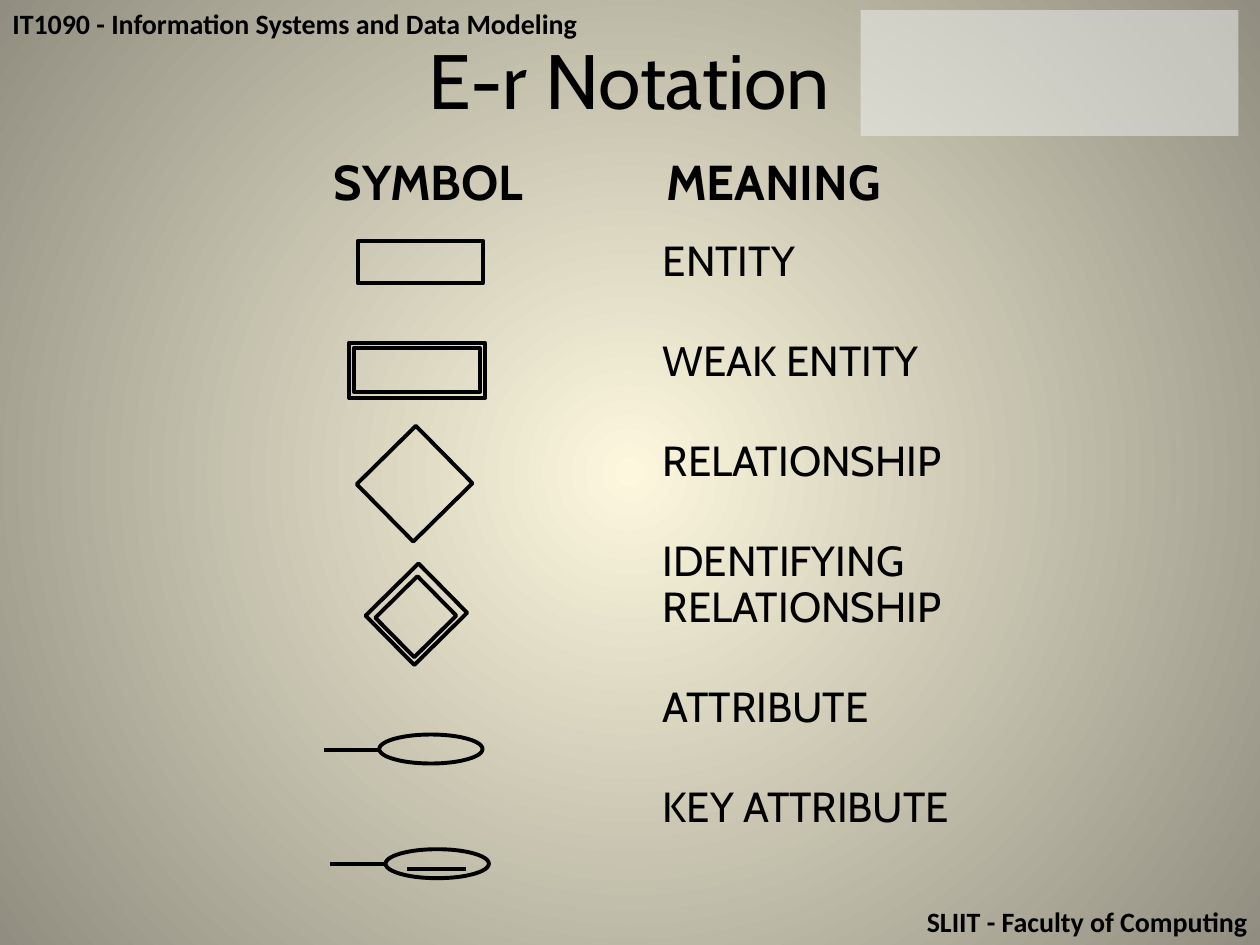
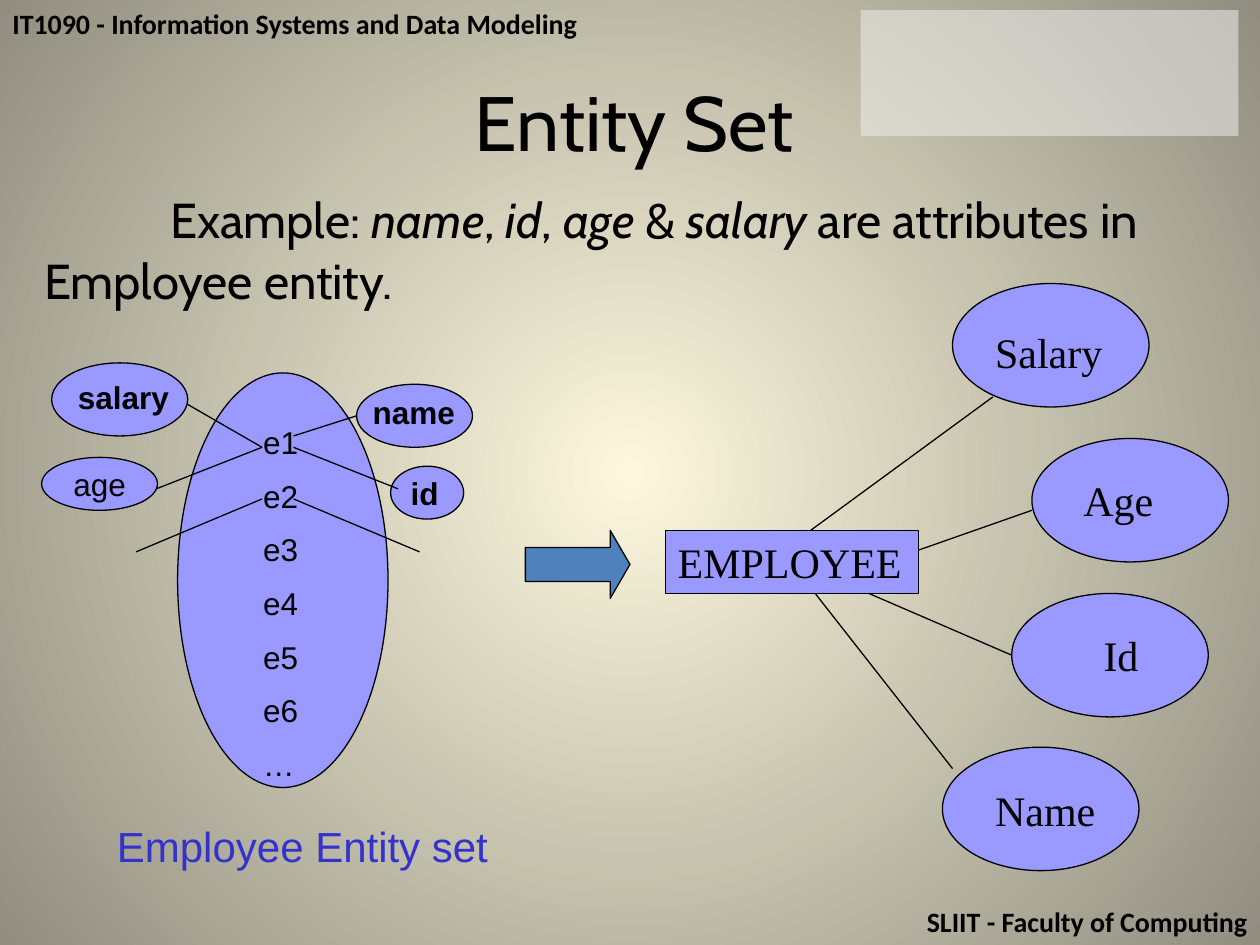
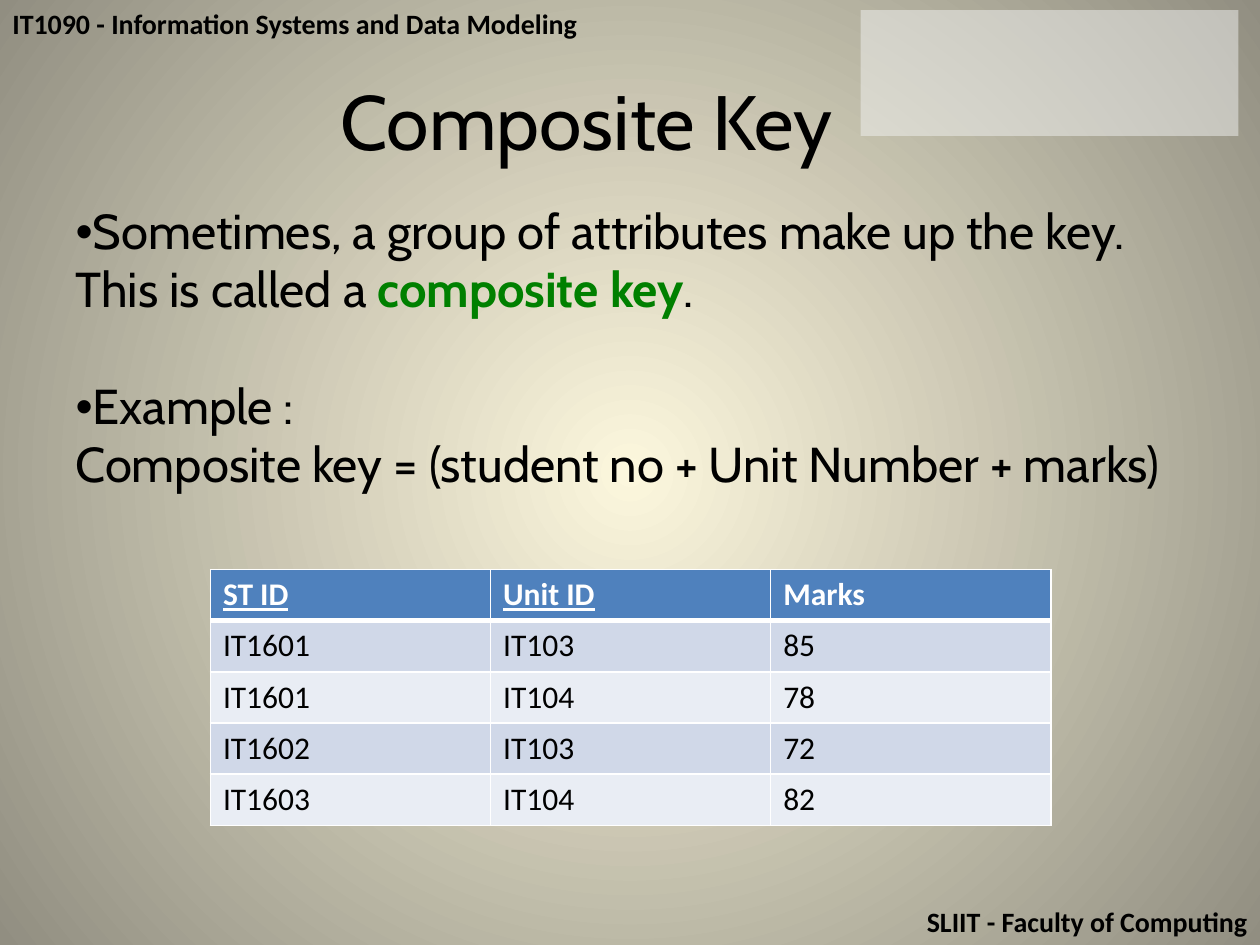
from dataclasses import dataclass

from lxml.etree import SubElement
from pptx import Presentation
from pptx.dml.color import RGBColor
from pptx.enum.shapes import MSO_CONNECTOR as Connector, MSO_SHAPE as Shape
from pptx.enum.text import MSO_ANCHOR as Anchor, MSO_AUTO_SIZE as AutoSize, PP_ALIGN as Align
from pptx.oxml import parse_xml
from pptx.oxml.ns import nsdecls, qn
from pptx.util import Inches, Pt

COLUMNS, ROWS = 10, 7.5
WIDTH, HEIGHT = Inches(10), Inches(7.5)


@dataclass(frozen=True)
class Theme:
    glow: str = "FCF7DD"
    edge: str = "918E81"
    ink: str = "000000"
    paper: str = "FFFFFF"
    band: str = "F2F2F2"
    lilac: str = "9999FF"
    blue: str = "4F81BD"
    caption: str = "3333CC"
    key_term: str = "008000"
    row_fills: tuple = ("D0D8E8", "E9EDF4")
    heading_font: str = "Cabin"
    base_font: str = "Calibri"
    diagram_font: str = "Times New Roman"
    set_font: str = "Arial"
    title: float = 44
    body: float = 28
    label: float = 24
    small: float = 18
    footer: float = 16
    thin: float = 0.75
    thick: float = 2.25


THEME = Theme()


@dataclass
class Para:
    runs: list
    bullet: bool = False
    before: float = 0


def across(columns):
    return round(WIDTH * columns / COLUMNS)


def down(rows):
    return round(HEIGHT * rows / ROWS)


def grid(left, top, width, height):
    return across(left), down(top), across(width), down(height)


def rgb(colour):
    return RGBColor.from_string(colour)


def write(frame, paragraphs, *, font=THEME.base_font, size=THEME.small, colour=THEME.ink,
          bold=False, align=Align.LEFT, anchor=Anchor.TOP, wrap=True, top_inset=0.05,
          before=0, after=0, spacing=1.0, indent=0):
    frame.auto_size = AutoSize.NONE
    frame.word_wrap = wrap
    frame.vertical_anchor = anchor
    frame.margin_left = frame.margin_right = across(0.1)
    frame.margin_top, frame.margin_bottom = down(top_inset), down(0.05)
    for index, content in enumerate(paragraphs):
        para = content if isinstance(content, Para) else Para([content])
        paragraph = frame.paragraphs[0] if index == 0 else frame.add_paragraph()
        properties = paragraph._p.get_or_add_pPr()
        properties.set("marL", "0")
        properties.set("indent", str(across(indent)))
        if para.bullet:
            SubElement(properties, qn("a:buChar")).set("char", "•")
        else:
            SubElement(properties, qn("a:buNone"))
        paragraph.alignment = align
        paragraph.line_spacing = spacing
        paragraph.space_before = Pt((para.before or before) if index else 0)
        paragraph.space_after = Pt(after)
        for piece in para.runs:
            words, changes = (piece, {}) if isinstance(piece, str) else piece
            run = paragraph.add_run()
            run.text = words
            run.font.name, run.font.size = font, Pt(size)
            run.font.bold = changes.get("bold", bold)
            run.font.italic = changes.get("italic", False)
            run.font.underline = changes.get("underline", False)
            run.font.color.rgb = rgb(changes.get("colour", colour))


def add_label(slide, place, *paragraphs, **style):
    label = slide.shapes.add_textbox(*grid(*place))
    write(label.text_frame, paragraphs, **style)
    return label


def add_block(slide, kind, place, fill=None, line=THEME.thin, turn=0):
    block = slide.shapes.add_shape(kind, *grid(*place))
    block.shadow.inherit = False
    block.rotation = turn
    if fill:
        block.fill.solid()
        block.fill.fore_color.rgb = rgb(fill)
    else:
        block.fill.background()
    if line:
        block.line.color.rgb = rgb(THEME.ink)
        block.line.width = Pt(line)
    else:
        block.line.fill.background()
    return block


def add_line(slide, x1, y1, x2, y2, weight=THEME.thin):
    line = slide.shapes.add_connector(
        Connector.STRAIGHT, across(x1), down(y1), across(x2), down(y2))
    line.line.color.rgb = rgb(THEME.ink)
    line.line.width = Pt(weight)
    SubElement(line._element.spPr, qn("a:effectLst"))


def fill_placeholder(placeholder, place, *paragraphs, **style):
    placeholder.left, placeholder.top, placeholder.width, placeholder.height = grid(*place)
    write(placeholder.text_frame, paragraphs, font=THEME.heading_font, **style)


def set_title(slide, place, words, top_inset=0.05):
    fill_placeholder(slide.shapes.title, place, words, size=THEME.title,
                     align=Align.CENTER, top_inset=top_inset)


def set_background(master):
    master.background.fill.solid()
    holder = master.element.find(".//" + qn("p:bgPr"))
    holder.replace(holder[0], parse_xml(
        f'<a:gradFill {nsdecls("a")} rotWithShape="1"><a:gsLst>'
        f'<a:gs pos="0"><a:srgbClr val="{THEME.glow}"/></a:gs>'
        f'<a:gs pos="100000"><a:srgbClr val="{THEME.edge}"/></a:gs></a:gsLst>'
        '<a:path path="circle"><a:fillToRect l="50000" t="50000" r="50000" b="50000"/>'
        '</a:path></a:gradFill>'))


def set_shared_bands(slide):
    style = dict(size=THEME.footer, bold=True)
    header = add_label(slide, (0, 0, 10, 0.37),
                       "IT1090 - Information Systems and Data Modeling", **style)
    footer = add_label(slide, (0, 7.13, 10, 0.37), "SLIIT - Faculty of Computing",
                       align=Align.RIGHT, **style)
    band = add_block(slide, Shape.RECTANGLE, (6.83, 0.08, 3, 1), THEME.band, None)
    tint = band._element.spPr.find(".//" + qn("a:srgbClr"))
    SubElement(tint, qn("a:alpha")).set("val", "50000")
    for part in (header, footer, band):
        slide.slide_layout.shapes.element.append(part.element)


def build_notation(slide):
    set_title(slide, (1.51, -0.16, 6.97, 1.11), "E-r Notation", top_inset=0.42)
    fill_placeholder(slide.placeholders[1], (5.16, 1.86, 3.45, 5.27),
                     "ENTITY", "WEAK ENTITY", "RELATIONSHIP", "IDENTIFYING RELATIONSHIP",
                     "ATTRIBUTE", "KEY ATTRIBUTE",
                     size=THEME.label, spacing=0.9, after=31.2)
    for left, top, heading in ((2.55, 1.2, "SYMBOL"), (5.19, 1.2, "MEANING")):
        add_label(slide, (left, top, 2.06, 0.47), heading, font=THEME.heading_font,
                  size=THEME.body, bold=True, top_inset=0)
    entity_symbols = ((2.84, 1.91, 0.99, 0.34), (2.81, 2.76, 1, 0.35), (2.77, 2.72, 1.08, 0.44))
    relationship_symbols = ((2.97, 3.51, 0.64, 0.66), (3.08, 4.66, 0.44, 0.47),
                            (3.03, 4.58, 0.55, 0.59))
    for turn, symbols in ((0, entity_symbols), (45.4, relationship_symbols)):
        for place in symbols:
            add_block(slide, Shape.RECTANGLE, place, line=THEME.thick, turn=turn)
    for left, top in ((3.01, 5.83), (3.06, 6.74)):
        add_block(slide, Shape.OVAL, (left, top, 0.82, 0.23), line=THEME.thick)
        add_line(slide, left, top + 0.12, left - 0.44, top + 0.12, THEME.thick)
    add_line(slide, 3.23, 6.9, 3.7, 6.9, THEME.thick)


def add_employee_diagram(slide):
    style = dict(font=THEME.diagram_font, size=THEME.label)
    attributes = (
        ("Name", 7.48, 5.93, (7.8, 6.18, 1, 0.5)),
        ("Id", 8.03, 4.71, (8.66, 4.95, 0.51, 0.5)),
        ("Age", 8.19, 3.48, (8.5, 3.72, 0.76, 0.5)),
        ("Salary", 7.56, 2.25, (7.8, 2.54, 1.06, 0.5)),
    )
    for name, left, top, name_place in attributes:
        add_block(slide, Shape.OVAL, (left, top, 1.56, 0.98), THEME.lilac)
        plate = add_block(slide, Shape.RECTANGLE, name_place, THEME.lilac, None)
        write(plate.text_frame, [name], wrap=False, **style)
    for ends in ((7.25, 4.38, 8.19, 4.05), (7.56, 6.1, 6.47, 4.71),
                 (8.03, 5.2, 6.78, 4.66), (7.88, 3.15, 6.31, 4.3)):
        add_line(slide, *ends)
    employee = add_block(slide, Shape.RECTANGLE, (5.28, 4.21, 2.01, 0.5), THEME.lilac)
    write(employee.text_frame, ["EMPLOYEE"], **style)


def add_employee_set(slide):
    style = dict(font=THEME.set_font, size=THEME.small)
    for place in ((3.1, 3.7, 0.58, 0.42), (2.83, 3.05, 0.92, 0.5), (0.41, 2.88, 1.08, 0.58)):
        add_block(slide, Shape.OVAL, place, THEME.lilac)
    age = add_block(slide, Shape.OVAL, (0.33, 3.63, 0.92, 0.42), THEME.lilac)
    write(age.text_frame, ["age"], anchor=Anchor.MIDDLE, align=Align.CENTER, wrap=False, **style)
    add_block(slide, Shape.OVAL, (1.41, 2.96, 1.67, 3.29), THEME.lilac)
    members = [f"e{number}" for number in range(1, 7)]
    add_label(slide, (1.99, 3.31, 0.58, 2.61), *members, "…", before=9, **style)
    add_label(slide, (0.83, 6.46, 3.33, 0.42), "Employee Entity set",
              font=THEME.set_font, size=THEME.label, colour=THEME.caption)
    for name, place in (("salary", (0.52, 2.95, 1.06, 0.4)), ("id", (3.16, 3.71, 0.75, 0.4)),
                        ("name", (2.86, 3.07, 1.17, 0.4))):
        add_label(slide, place, name, bold=True, **style)
    for ends in ((1.49, 3.21, 2.08, 3.55), (1.24, 3.88, 2.08, 3.55), (2.33, 3.46, 2.83, 3.3),
                 (2.33, 3.55, 3.16, 3.88), (2.08, 3.96, 1.08, 4.38), (2.33, 3.96, 3.33, 4.38)):
        add_line(slide, *ends)


def build_entity_set(slide):
    set_title(slide, (1.55, 0.54, 6.97, 1.1), "Entity Set")
    italic = {"italic": True}
    example = Para(["Example: ", ("name", italic), ", ", ("id", italic), ", ", ("age", italic),
                    " & ", ("salary", italic), " are attributes in Employee entity."])
    fill_placeholder(slide.placeholders[1], (0.25, 1.4, 9.58, 5.13), example,
                     size=THEME.body, indent=1, top_inset=0.09, spacing=1.03)
    add_employee_diagram(slide)
    arrow = add_block(slide, Shape.RIGHT_ARROW, (4.17, 4.21, 0.83, 0.54), THEME.blue)
    arrow.adjustments[1] = 0.29
    add_employee_set(slide)


def add_border(cell, side, width):
    edge = SubElement(cell._tc.get_or_add_tcPr(), qn(f"a:{side}"), w=str(Pt(width)))
    SubElement(SubElement(edge, qn("a:solidFill")), qn("a:srgbClr"), val=THEME.paper)


def add_marks_table(slide, place, rows):
    table = slide.shapes.add_table(len(rows), len(rows[0]), *grid(*place)).table
    for row, values in enumerate(rows):
        for column, value in enumerate(values):
            cell = table.cell(row, column)
            for side in ("lnL", "lnR", "lnT", "lnB"):
                header_rule = (row, side) in ((0, "lnB"), (1, "lnT"))
                add_border(cell, side, 3 if header_rule else 1)
            cell.fill.solid()
            fill = THEME.row_fills[(row - 1) % 2] if row else THEME.blue
            cell.fill.fore_color.rgb = rgb(fill)
            is_key = row == 0 and column < 2
            write(cell.text_frame, [Para([(value, {"underline": is_key})])], bold=row == 0,
                  colour=THEME.ink if row else THEME.paper)


def build_composite_key(slide):
    set_title(slide, (1.17, 0.52, 6.97, 1.08), "Composite Key", top_inset=0.06)
    key_term = ("composite key", {"bold": True, "colour": THEME.key_term})
    fill_placeholder(
        slide.placeholders[1], (0.5, 1.54, 9.17, 3.99),
        Para(["Sometimes, a group of attributes make up the key. This is called a ",
              key_term, "."], bullet=True),
        Para(["Example :"], bullet=True, before=33.5),
        "Composite key = (student no + Unit Number + marks)",
        size=THEME.body, spacing=0.99, top_inset=0.07)
    add_marks_table(slide, (1.67, 4.52, 6.67, 2.03), (
        ("ST ID", "Unit ID", "Marks"),
        ("IT1601", "IT103", "85"),
        ("IT1601", "IT104", "78"),
        ("IT1602", "IT103", "72"),
        ("IT1603", "IT104", "82"),
    ))


def main():
    deck = Presentation()
    deck.slide_width, deck.slide_height = WIDTH, HEIGHT
    set_background(deck.slide_master)
    layout = deck.slide_layouts[1]
    slides = [deck.slides.add_slide(layout) for _ in range(3)]
    set_shared_bands(slides[0])
    for slide, build in zip(slides, (build_notation, build_entity_set, build_composite_key)):
        build(slide)
    deck.save("out.pptx")


if __name__ == "__main__":
    main()
